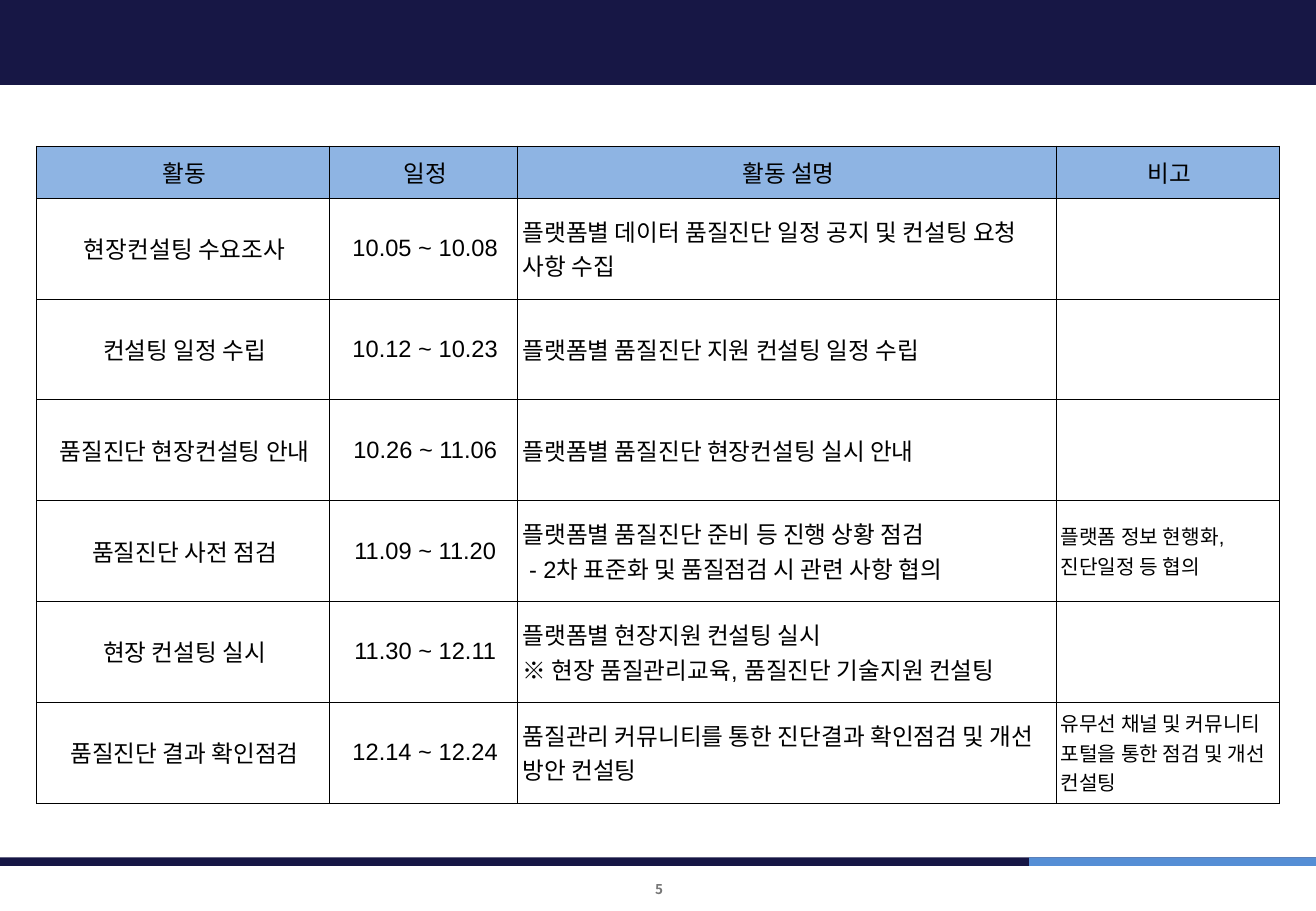
from lxml.etree import SubElement
from pptx import Presentation
from pptx.dml.color import RGBColor
from pptx.enum.shapes import MSO_SHAPE
from pptx.enum.text import MSO_ANCHOR, PP_ALIGN
from pptx.oxml.ns import qn
from pptx.util import Inches, Pt

COLORS = {"navy": "171745", "deep": "161645", "blue": "558ED5",
          "head": "8EB4E3", "white": "FFFFFF", "black": "000000",
          "gray": "777777"}
WIDTHS = [2.41, 1.55, 4.43, 1.84]
HEIGHTS = [0.43] + [0.83] * 6
ROWS = [
    ["활동", "일정", "활동 설명", "비고"],
    ["현장컨설팅 수요조사", "10.05 ~ 10.08",
     "플랫폼별 데이터 품질진단 일정 공지 및 컨설팅 요청 사항 수집", ""],
    ["컨설팅 일정 수립", "10.12 ~ 10.23",
     "플랫폼별 품질진단 지원 컨설팅 일정 수립", ""],
    ["품질진단 현장컨설팅 안내", "10.26 ~ 11.06",
     "플랫폼별 품질진단 현장컨설팅 실시 안내", ""],
    ["품질진단 사전 점검", "11.09 ~ 11.20",
     "플랫폼별 품질진단 준비 등 진행 상황 점검\n"
     " - 2차 표준화 및 품질점검 시 관련 사항 협의",
     "플랫폼 정보 현행화,\n진단일정 등 협의"],
    ["현장 컨설팅 실시", "11.30 ~ 12.11",
     "플랫폼별 현장지원 컨설팅 실시\n"
     "※ 현장 품질관리교육, 품질진단 기술지원 컨설팅", ""],
    ["품질진단 결과 확인점검", "12.14 ~ 12.24",
     "품질관리 커뮤니티를 통한 진단결과 확인점검 및 개선 방안 컨설팅",
     "유무선 채널 및 커뮤니티 포털을 통한 점검 및 개선 컨설팅"],
]


class Page:
    """Draws styled elements on one slide."""

    def __init__(self, slide):
        self.slide = slide

    def color(self, name):
        return RGBColor.from_string(COLORS[name])

    def style(self, frame, size, align, font="Arial", color="black", bold=False):
        for para in frame.paragraphs:
            para.alignment = align
            para.font.name = font
            para.font.size = Pt(size)
            para.font.bold = bold
            para.font.color.rgb = self.color(color)

    def bar(self, left, top, width, height, fill):
        shape = self.slide.shapes.add_shape(
            MSO_SHAPE.RECTANGLE, *map(Inches, (left, top, width, height)))
        shape.shadow.inherit = False
        shape.fill.solid()
        shape.fill.fore_color.rgb = self.color(fill)
        shape.line.fill.background()

    def number(self, text, left, top, width, height):
        box = self.slide.shapes.add_textbox(
            *map(Inches, (left, top, width, height)))
        frame = box.text_frame
        frame.word_wrap = True
        frame.vertical_anchor = MSO_ANCHOR.MIDDLE
        frame.margin_top = frame.margin_bottom = 0
        frame.text = text
        self.style(frame, 8, PP_ALIGN.CENTER, "Noto Sans CJK KR", "gray", True)

    def border(self, cell):
        props = cell._tc.get_or_add_tcPr()
        for side in ("lnL", "lnR", "lnT", "lnB"):
            line = SubElement(props, qn(f"a:{side}"), w=str(Pt(0.25)))
            fill = SubElement(line, qn("a:solidFill"))
            SubElement(fill, qn("a:srgbClr"), val=COLORS["black"])

    def cell(self, cell, text, size, align, fill):
        self.border(cell)
        cell.fill.solid()
        cell.fill.fore_color.rgb = self.color(fill)
        cell.vertical_anchor = MSO_ANCHOR.MIDDLE
        cell.margin_left, cell.margin_right = Inches(0.04), Inches(0.01)
        cell.margin_top = cell.margin_bottom = 0
        cell.text = text
        self.style(cell.text_frame, size, align)

    def table(self, left, top, widths, heights, rows):
        table = self.slide.shapes.add_table(
            len(rows), len(widths), Inches(left), Inches(top),
            Inches(sum(widths)), Inches(sum(heights))).table
        for column, width in zip(table.columns, widths):
            column.width = Inches(width)
        for r, (row, height) in enumerate(zip(rows, heights)):
            table.rows[r].height = Inches(height)
            for c, text in enumerate(row):
                head = r == 0
                align = PP_ALIGN.CENTER if head or c < 2 else PP_ALIGN.LEFT
                size = 12 if c == 3 and not head else 14
                self.cell(table.cell(r, c), text, size, align,
                          "head" if head else "white")


def main():
    deck = Presentation()
    deck.slide_width, deck.slide_height = Inches(10.83), Inches(7.5)
    page = Page(deck.slides.add_slide(deck.slide_layouts[6]))
    page.bar(0, 0, 10.83, 0.7, "navy")
    page.bar(0, 7.06, 10.83, 0.07, "deep")
    page.bar(8.47, 7.06, 2.36, 0.07, "blue")
    page.number("5", 4.87, 7.22, 1.11, 0.2)
    page.table(0.3, 1.2, WIDTHS, HEIGHTS, ROWS)
    deck.save("out.pptx")


if __name__ == "__main__":
    main()
